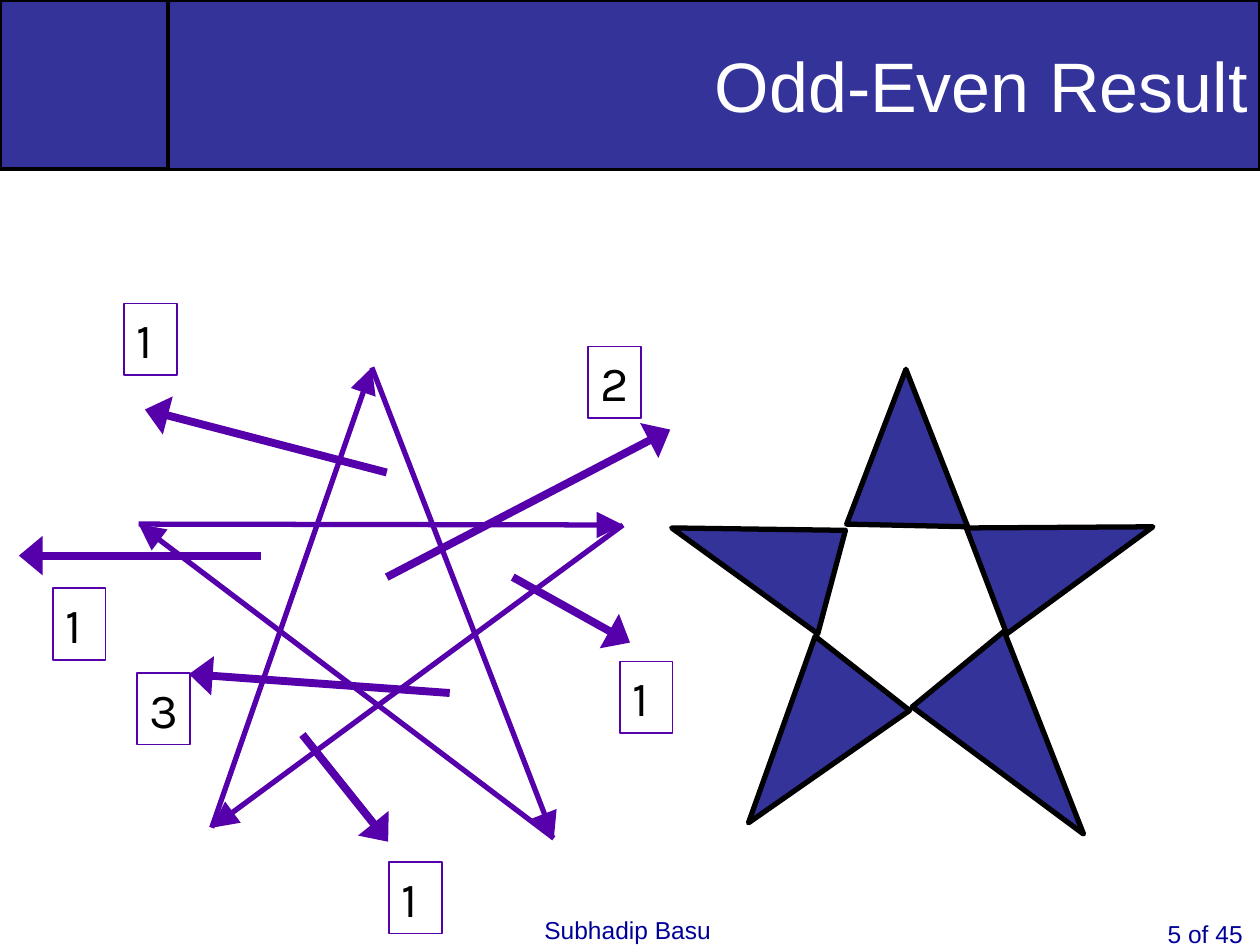
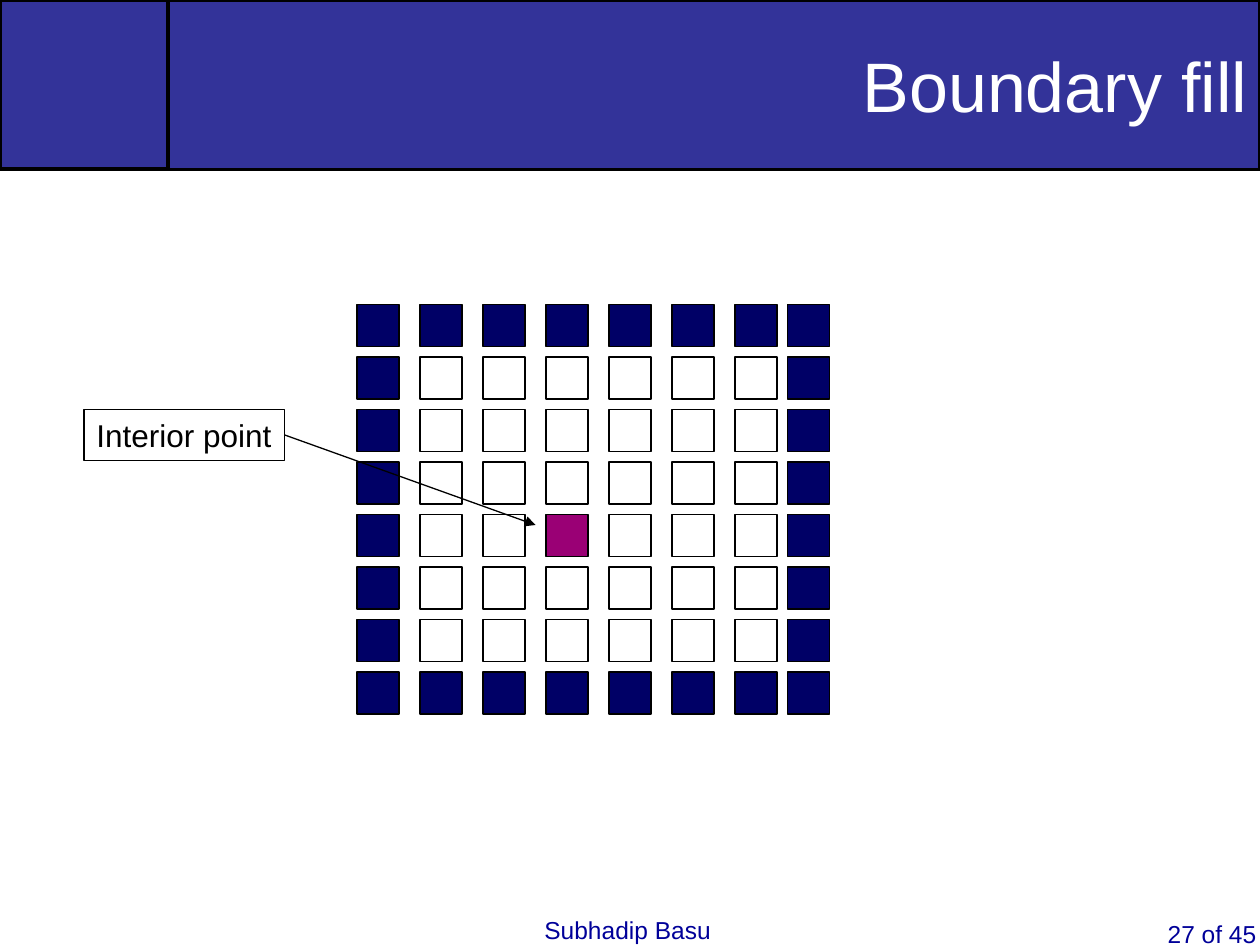
from itertools import pairwise

from pptx import Presentation
from pptx.dml.color import RGBColor
from pptx.enum.shapes import MSO_CONNECTOR, MSO_SHAPE
from pptx.enum.text import MSO_ANCHOR, MSO_AUTO_SIZE, PP_ALIGN
from pptx.oxml import parse_xml
from pptx.oxml.ns import nsdecls, qn
from pptx.util import Pt

HEX = {"band": "333399", "black": "000000", "white": "FFFFFF", "footer": "000099",
       "violet": "5600AC", "navy": "000066", "seed": "9A0075"}
COLOURS = {name: RGBColor.from_string(value) for name, value in HEX.items()}


def add_box(slide, left, top, width, height, line, weight, fill=None, text="", font="Arial", size=18):
    """Add an outlined rectangle, unfilled unless fill is given, with optional text."""
    box = slide.shapes.add_shape(MSO_SHAPE.RECTANGLE, Pt(left), Pt(top), Pt(width), Pt(height))
    box.shadow.inherit = False
    box.line.color.rgb = COLOURS[line]
    box.line.width = Pt(weight)
    if fill:
        box.fill.solid()
        box.fill.fore_color.rgb = COLOURS[fill]
    else:
        box.fill.background()
    if text:
        frame = box.text_frame
        frame.text = text
        frame.word_wrap = False
        frame.vertical_anchor = MSO_ANCHOR.TOP
        frame.paragraphs[0].alignment = PP_ALIGN.LEFT
        run_font = frame.paragraphs[0].runs[0].font
        run_font.name, run_font.size = font, Pt(size)
        run_font.color.rgb = COLOURS["black"]
    return box


def add_arrow(slide, start, end, colour, weight, head_width="med", head_length="med"):
    arrow = slide.shapes.add_connector(
        MSO_CONNECTOR.STRAIGHT, *(Pt(value) for value in (*start, *end)))
    arrow.line.color.rgb = COLOURS[colour]
    arrow.line.width = Pt(weight)
    properties = arrow.element.spPr
    properties.find(qn("a:ln")).append(parse_xml(
        f'<a:tailEnd {nsdecls("a")} type="triangle" w="{head_width}" len="{head_length}"/>'))
    properties.append(parse_xml(f'<a:effectLst {nsdecls("a")}/>'))
    return arrow


prs = Presentation()
prs.slide_width, prs.slide_height = Pt(720), Pt(540)

# Shared title band, corner and footers
slides = []
for heading, page in (("Odd-Even Result", 5), ("Boundary fill", 27)):
    slide = prs.slides.add_slide(prs.slide_layouts[5])
    slides.append(slide)
    add_box(slide, 0, 0, 96, 96.5, "black", 2, "band")

    title = slide.shapes.title
    title.left, title.top, title.width, title.height = Pt(96), Pt(0), Pt(624), Pt(97)
    title.fill.solid()
    title.fill.fore_color.rgb = COLOURS["band"]
    title.line.color.rgb = COLOURS["black"]
    title.line.width = Pt(2)
    title.text_frame.text = heading
    title.text_frame.auto_size = MSO_AUTO_SIZE.NONE
    title.text_frame.vertical_anchor = MSO_ANCHOR.MIDDLE
    title_line = title.text_frame.paragraphs[0]
    title_line.alignment = PP_ALIGN.RIGHT
    title_font = title_line.runs[0].font
    title_font.name, title_font.size = "Arial", Pt(40)
    title_font.color.rgb = COLOURS["white"]

    for text, left, top, width, height in (
            ("Subhadip Basu", 304, 519.5, 116, 20.5), (f"{page} of 45", 660.2, 521.8, 59.8, 18.2)):
        footer = slide.shapes.add_textbox(Pt(left), Pt(top), Pt(width), Pt(height))
        footer.text_frame.text = text
        footer.text_frame.word_wrap = True
        footer.text_frame.margin_right = Pt(0)
        footer_font = footer.text_frame.paragraphs[0].runs[0].font
        footer_font.name, footer_font.size = "Arial", Pt(14)
        footer_font.color.rgb = COLOURS["footer"]

odd_even, boundary = slides

# Directed star outline, drawn in one closed stroke
star_points = [(121, 473), (212.5, 210), (316.5, 479), (79.2, 299.5), (356, 300)]
for start, end in pairwise(star_points + star_points[:1]):
    add_arrow(odd_even, start, end, "violet", 3, "lg", "lg")

# Filled tips of the star
star_tips = [
    [(483.8, 299.5), (517.7, 211), (553, 301)],
    [(552.2, 301.7), (658.8, 301), (575.3, 362.2)],
    [(573.8, 360.7), (619.2, 476.6), (521.3, 403.9)],
    [(519.8, 406), (427.7, 470.2), (465.8, 363.6)],
    [(467.3, 362.2), (383.8, 301.7), (483.1, 303.1)],
]
for corners in star_tips:
    first, *others = [(Pt(x), Pt(y)) for x, y in corners]
    builder = odd_even.shapes.build_freeform(*first)
    builder.add_line_segments(others, close=True)
    tip = builder.convert_to_shape()
    tip.shadow.inherit = False
    tip.fill.solid()
    tip.fill.fore_color.rgb = COLOURS["band"]
    tip.line.color.rgb = COLOURS["black"]
    tip.line.width = Pt(3)

# Test rays: start, end, crossing count and its place
rays = [
    ((221, 270), (82.8, 234), "1", (71, 173.5)),
    ((149, 317.5), (10.8, 317.5), "1", (30.2, 336.2)),
    ((172.8, 419.8), (221.8, 481), "1", (222.5, 492.5)),
    ((257, 396), (108, 385.2), "3", (78.5, 384.5)),
    ((293, 329.8), (360, 367.2), "1", (354.2, 378)),
    ((221, 329.8), (383, 245.5), "2", (336.2, 198)),
]
for start, end, crossings, place in rays:
    add_arrow(odd_even, start, end, "violet", 4.5, "lg")
    add_box(odd_even, *place, 30.2, 41, "violet", 1, text=crossings, font="Karla", size=28)

# Pixel grid: boundary around an interior with one seed
column_lefts = [204 + 36 * column for column in range(7)] + [450]
row_tops = [174 + 30 * row for row in range(8)]
for row, top in enumerate(row_tops):
    for column, left in enumerate(column_lefts):
        if row in (0, 7) or column in (0, 7):
            pixel = "navy"
        elif (row, column) == (4, 3):
            pixel = "seed"
        else:
            pixel = "white"
        add_box(boundary, left, top, 24, 24, "black", 0.75, pixel)

interior_label = add_box(boundary, 48, 234, 114.5, 29, "black", 0.75, text="Interior point")
pointer = add_arrow(boundary, (162.5, 248.5), (306, 300), "black", 0.75)
pointer.begin_connect(interior_label, 3)

prs.save("out.pptx")
